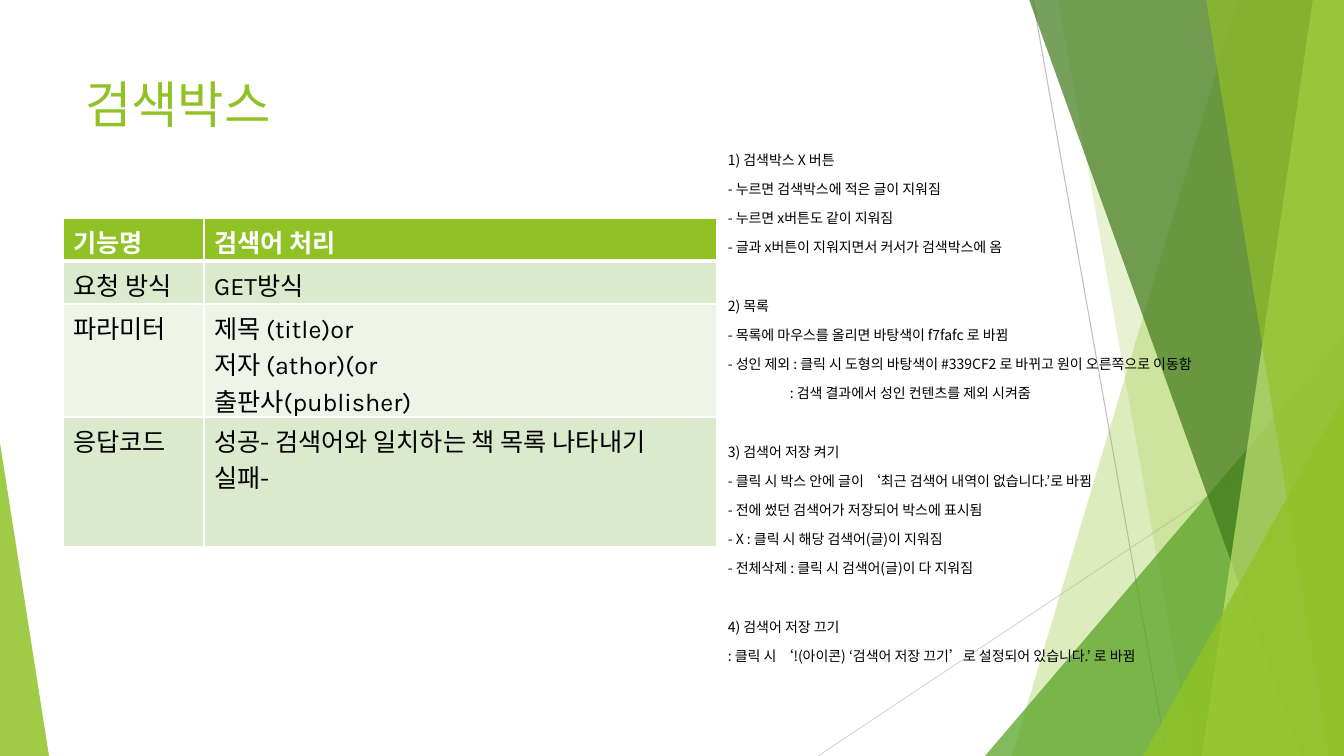
from pptx import Presentation
from pptx.dml.color import RGBColor
from pptx.enum.shapes import MSO_CONNECTOR, MSO_SHAPE
from pptx.enum.text import MSO_ANCHOR, PP_ALIGN
from pptx.oxml.ns import qn
from pptx.util import Pt
from lxml.etree import SubElement

# Colours, fonts and scale
LIME = RGBColor(0x90, 0xC2, 0x26)
GREEN = RGBColor(0x54, 0xA0, 0x21)
DARK_GREEN = RGBColor(0x3F, 0x78, 0x19)
PALE_LIME = RGBColor(0xC0, 0xE4, 0x74)
BAND_DARK = RGBColor(0xDB, 0xE9, 0xCD)
BAND_LIGHT = RGBColor(0xEE, 0xF4, 0xE8)
GREY = RGBColor(0xBF, 0xBF, 0xBF)
LIGHT_GREY = RGBColor(0xD9, 0xD9, 0xD9)
BLACK = RGBColor(0, 0, 0)
WHITE = RGBColor(0xFF, 0xFF, 0xFF)
KARLA, NOTO = "Karla", "Noto Sans CJK KR"
PX = 914400 / 100.8
WIDTH, HEIGHT = 1344, 756

# Content
TITLE = "검색박스"
TABLE_ROWS = [
    ("기능명", "검색어 처리"),
    ("요청 방식", "GET방식"),
    ("파라미터", "제목 (title)or\n저자 (athor)(or\n출판사(publisher)"),
    ("응답코드", "성공- 검색어와 일치하는 책 목록 나타내기\n실패-"),
]
ROW_FILLS = [LIME, BAND_DARK, BAND_LIGHT, BAND_DARK]
ROW_HEIGHTS = [43, 43, 113, 130]
COLUMN_WIDTHS = [141, 513]
NOTE_GROUPS = [
    ["1) 검색박스 X 버튼",
     "- 누르면 검색박스에 적은 글이 지워짐",
     "- 누르면 x버튼도 같이 지워짐",
     "- 글과 x버튼이 지워지면서 커서가 검색박스에 옴"],
    ["2) 목록",
     "- 목록에 마우스를 올리면 바탕색이 f7fafc 로 바뀜",
     "- 성인 제외 : 클릭 시 도형의 바탕색이 #339CF2 로 바뀌고 원이 오른쪽으로 이동함",
     ": 검색 결과에서 성인 컨텐츠를 제외 시켜줌"],
    ["3) 검색어 저장 켜기",
     "- 클릭 시 박스 안에 글이 ‘최근 검색어 내역이 없습니다.’로 바뀜",
     "- 전에 썼던 검색어가 저장되어 박스에 표시됨",
     "- X : 클릭 시 해당 검색어(글)이 지워짐",
     "- 전체삭제 : 클릭 시 검색어(글)이 다 지워짐"],
    ["4) 검색어 저장 끄기",
     ": 클릭 시 ‘!(아이콘) ‘검색어 저장 끄기’로 설정되어 있습니다.’ 로 바뀜"],
]
INDENTED_NOTE = NOTE_GROUPS[1][-1]

# Decoration: lines (from, to, colour)
LINES = [((1033, 0), (1167, HEIGHT), GREY),
         ((WIDTH, 406), (818, HEIGHT), LIGHT_GREY)]
# Bands reach the right edge: top-left x, bottom-left x, colour, opacity in %
BACK_BANDS = [(1238, 1012, LIME, 30), (1058, 1192, LIME, 20)]
FRONT_BANDS = [(1029, 1301, DARK_GREEN, 70), (1313, 1202, PALE_LIME, 70),
               (1206, 1329, LIME, 65)]
# Triangles stand on the bottom edge: left, top, width, apex, colour, opacity in %
BACK_TRIANGLES = [(985, 336, 359, 1, GREEN, 72)]
FRONT_TRIANGLES = [(1143, 396, 201, 1, LIME, 80), (0, 443, 49, 0, LIME, 85)]


def px(*values):
    return [round(value * PX) for value in values]


def format_runs(paragraph, font_name, **formats):
    color = formats.pop("color")
    for run in paragraph.runs:
        run.font.name = font_name
        run.font.color.rgb = color
        for name, value in formats.items():
            setattr(run.font, name, value)
        SubElement(run.font._element, qn("a:ea"), typeface=NOTO)


def paint(shape, color, opacity):
    shape.shadow.inherit = False
    shape.line.fill.background()
    shape.fill.solid()
    shape.fill.fore_color.rgb = color
    color_element = shape.fill._xPr.find(qn("a:solidFill"))[0]
    SubElement(color_element, qn("a:alpha"), val=str(opacity * 1000))


def add_bands(shapes, bands):
    for top_x, bottom_x, color, opacity in bands:
        builder = shapes.build_freeform(top_x, -1, scale=PX)
        builder.add_line_segments(
            [(WIDTH, -1), (WIDTH, HEIGHT), (bottom_x, HEIGHT)], close=True)
        paint(builder.convert_to_shape(), color, opacity)


def add_triangles(shapes, triangles):
    for left, top, width, apex, color, opacity in triangles:
        triangle = shapes.add_shape(MSO_SHAPE.ISOSCELES_TRIANGLE,
                                    *px(left, top, width, HEIGHT - top))
        triangle.adjustments[0] = apex
        paint(triangle, color, opacity)


def add_border(cell, side, points):
    properties = cell._tc.get_or_add_tcPr()
    line = SubElement(properties, qn(f"a:ln{side}"), w=str(Pt(points)))
    SubElement(SubElement(line, qn("a:solidFill")), qn("a:srgbClr"), val=str(WHITE))


presentation = Presentation()
presentation.slide_width, presentation.slide_height = px(WIDTH, HEIGHT)
slide = presentation.slides.add_slide(presentation.slide_layouts[5])
shapes = slide.shapes

# Background decoration
for start, end, color in LINES:
    connector = shapes.add_connector(MSO_CONNECTOR.STRAIGHT, *px(*start, *end))
    connector.line.color.rgb = color
    connector.line.width = Pt(0.75)
    SubElement(connector._element.spPr, qn("a:effectLst"))
add_bands(shapes, BACK_BANDS)
add_triangles(shapes, BACK_TRIANGLES)
add_bands(shapes, FRONT_BANDS)
add_triangles(shapes, FRONT_TRIANGLES)

# Title
title = shapes.title
title.left, title.top, title.width, title.height = px(75, 68, 948, 77)
title.text_frame.text = TITLE
title.text_frame.vertical_anchor = MSO_ANCHOR.TOP
title_paragraph = title.text_frame.paragraphs[0]
title_paragraph.alignment = PP_ALIGN.LEFT
format_runs(title_paragraph, KARLA, size=Pt(36), color=LIME)

# Notes
notes = shapes.add_textbox(*px(718, 145, 552, 528)).text_frame
notes.word_wrap = True
paragraph = notes.paragraphs[0]
for group in NOTE_GROUPS:
    for note in group:
        if paragraph.text:
            paragraph = notes.add_paragraph()
        paragraph.text = note
        paragraph.alignment = PP_ALIGN.JUSTIFY
        paragraph.line_spacing = 1.07
        paragraph.space_after = Pt(29 if note == group[-1] else 8)
        if note == INDENTED_NOTE:
            paragraph._p.get_or_add_pPr().set("marL", str(*px(62)))
        format_runs(paragraph, NOTO, size=Pt(10), color=BLACK)

# Table
table = shapes.add_table(
    len(TABLE_ROWS), len(COLUMN_WIDTHS),
    *px(63, 218, sum(COLUMN_WIDTHS), sum(ROW_HEIGHTS))).table
for column, width in zip(table.columns, px(*COLUMN_WIDTHS)):
    column.width = width
for row, height in zip(table.rows, px(*ROW_HEIGHTS)):
    row.height = height
for row_index, texts in enumerate(TABLE_ROWS):
    is_header = row_index == 0
    for column_index, text in enumerate(texts):
        cell = table.cell(row_index, column_index)
        cell.text = text
        for side in "LRTB":
            thick = (is_header and side == "B") or (row_index == 1 and side == "T")
            add_border(cell, side, 3 if thick else 1)
        cell.fill.solid()
        cell.fill.fore_color.rgb = ROW_FILLS[row_index]
        for paragraph in cell.text_frame.paragraphs:
            format_runs(paragraph, KARLA, size=Pt(18), bold=is_header,
                        color=WHITE if is_header else BLACK)

presentation.save("out.pptx")
